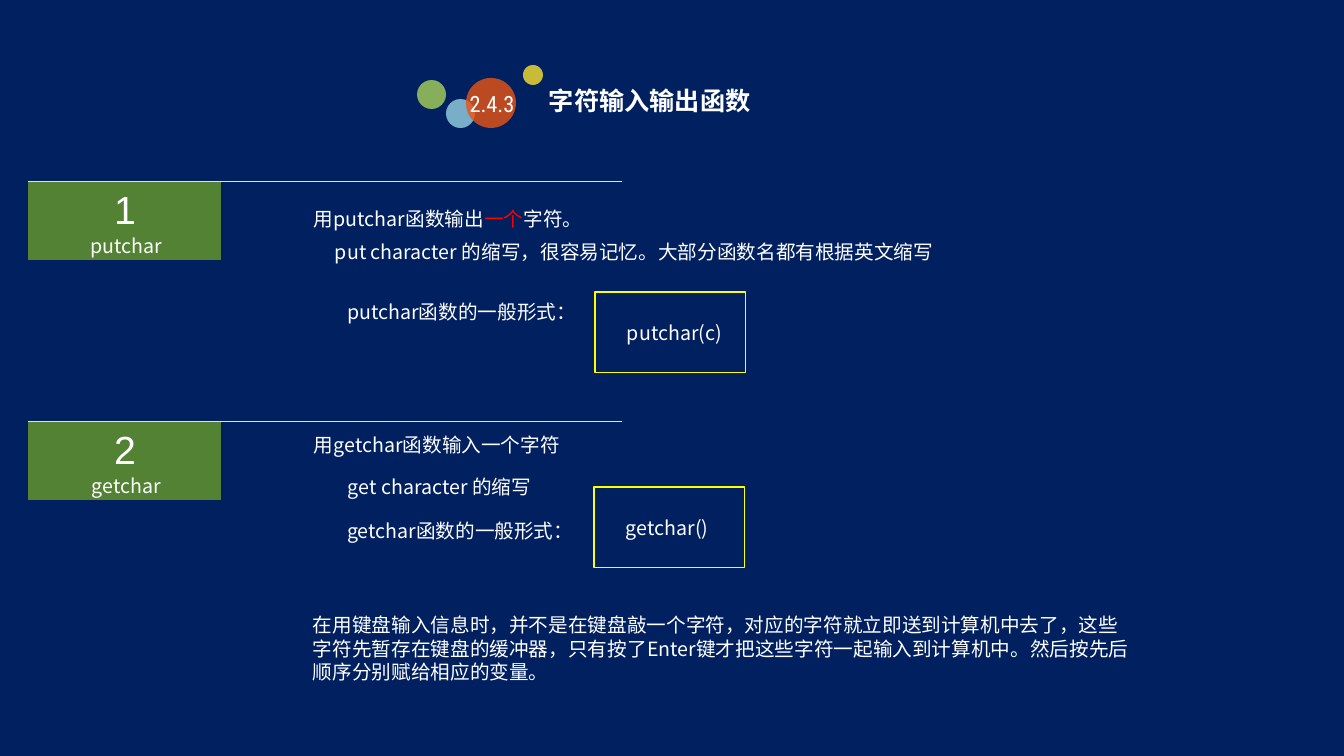
import pptx
import pptx.util
import pptx.oxml.ns
from pptx.dml.color import RGBColor
from pptx.enum.shapes import MSO_CONNECTOR, MSO_SHAPE
from pptx.enum.text import MSO_ANCHOR, PP_ALIGN
from lxml import etree

PX = 914400 / 100.8
CJK = "Noto Sans CJK SC"
COLORS = {
    "background": "002060", "text": "FFFFFF", "accent": "FF0000",
    "tag": "548235", "outline": "FFFF00", "yellow": "FBE22D",
    "green": "A9D25A", "blue": "98D2E3", "orange": "EA5514",
}


def px(length):
    return pptx.util.Emu(round(length * PX))


def rgb(name):
    return RGBColor.from_string(COLORS[name])


def sub(parent, tag, **attributes):
    return etree.SubElement(parent, pptx.oxml.ns.qn(tag), attributes)


def write(holder, *pieces, font=CJK, size=14, bold=False, align=PP_ALIGN.LEFT,
          anchor=MSO_ANCHOR.TOP, insets=(10, 5, 10, 5), spacing=1.0):
    """Fill a shape with one paragraph; a piece is a string or (string, colour)."""
    frame = holder.text_frame
    frame.word_wrap = True
    frame.vertical_anchor = anchor
    (frame.margin_left, frame.margin_top,
     frame.margin_right, frame.margin_bottom) = map(px, insets)
    paragraph = frame.paragraphs[0]
    paragraph.alignment = align
    paragraph.line_spacing = spacing
    for piece in pieces:
        words, color = (piece, "text") if isinstance(piece, str) else piece
        run = paragraph.add_run()
        run.text = words
        run.font.name = font
        run.font.size = pptx.util.Pt(size)
        run.font.bold = bold
        run.font.color.rgb = rgb(color)
        sub(run.font._element, "a:ea", typeface=font)


def add_text(slide, box, *pieces, **style):
    write(slide.shapes.add_textbox(*map(px, box)), *pieces, **style)


def add_figure(slide, kind, box, fill=None, line=None, alpha=None):
    figure = slide.shapes.add_shape(kind, *map(px, box))
    figure.shadow.inherit = False
    if fill:
        figure.fill.solid()
        figure.fill.fore_color.rgb = rgb(fill)
    else:
        figure.fill.background()
    if line:
        figure.line.color.rgb = rgb(line)
        figure.line.width = pptx.util.Pt(0.75)
    else:
        figure.line.fill.background()
    if alpha:
        color = figure._element.spPr.find(".//" + pptx.oxml.ns.qn("a:srgbClr"))
        sub(color, "a:alpha", val=str(alpha * 1000))
    return figure


def add_rule(slide, left, top, width):
    rule = slide.shapes.add_connector(
        MSO_CONNECTOR.STRAIGHT, px(left), px(top), px(left + width), px(top))
    rule.line.color.rgb = rgb("outline")
    rule.line.width = pptx.util.Pt(0.5)
    sub(rule._element.spPr, "a:effectLst")


def add_heading(slide, left, top, number, heading):
    title = slide.shapes.title
    title.left, title.top, title.width, title.height = map(
        px, (left + 122, top + 15, 240, 40))
    write(title, heading, size=18, bold=True)
    bubbles = [(106, 0, 20, 20, "yellow"), (0, 15, 29, 29, "green"),
               (29, 34, 29, 29, "blue"), (49, 13, 50, 50, "orange")]
    for x, y, width, height, color in bubbles:
        add_figure(slide, MSO_SHAPE.OVAL, (left + x, top + y, width, height),
                   fill=color, alpha=80)
    add_text(slide, (left + 50, top + 25, 50, 27), number, size=16,
             font="Roboto Condensed", align=PP_ALIGN.CENTER, insets=(0, 0, 0, 0))


def add_function(slide, left, top, number, name, details, call_box, call):
    """Numbered tag under a rule, explanations, and the call in a frame."""
    add_figure(slide, MSO_SHAPE.RECTANGLE, (left, top, 193, 79), fill="tag")
    tag_style = dict(align=PP_ALIGN.CENTER, anchor=MSO_ANCHOR.MIDDLE,
                     insets=(14, 7, 14, 7), spacing=1.3)
    add_text(slide, (left, top + 47, 197, 28), name, **tag_style)
    add_text(slide, (left + 62, top - 6, 70, 54), number, font="Arial",
             size=28, **tag_style)
    add_rule(slide, left, top, 594)
    for x, y, width, pieces in details:
        add_text(slide, (left + x, top + y, width, 34), *pieces)
    x, y = call_box
    frame = add_figure(slide, MSO_SHAPE.RECTANGLE,
                       (left + x, top + y, 151, 81), line="outline")
    write(frame, call, anchor=MSO_ANCHOR.MIDDLE, insets=(32, 5, 10, 5))


def main():
    deck = pptx.Presentation()
    deck.slide_width, deck.slide_height = px(1344), px(756)
    slide = deck.slides.add_slide(deck.slide_layouts[5])
    slide.background.fill.solid()
    slide.background.fill.fore_color.rgb = rgb("background")

    add_heading(slide, 417, 65, "2.4.3", "字符输入输出函数")
    add_function(slide, 28, 181, "1", "putchar", [
        (276, 21, 300, ["用putchar函数输出", ("一个", "accent"), "字符。"]),
        (297, 54, 651, ["put character 的缩写，很容易记忆。大部分函数名都有根据英文缩写"]),
        (309, 114, 251, ["putchar函数的一般形式："]),
    ], (567, 111), "putchar(c)")
    add_function(slide, 28, 421, "2", "getchar", [
        (276, 7, 270, ["用getchar函数输入一个字符"]),
        (310, 49, 211, ["get character 的缩写"]),
        (309, 93, 251, ["getchar函数的一般形式："]),
    ], (566, 66), "getchar()")
    add_text(slide, (303, 608, 837, 82),
             "在用键盘输入信息时，并不是在键盘敲一个字符，对应的字符就立即送到计算机中去了，"
             "这些字符先暂存在键盘的缓冲器，只有按了Enter键才把这些字符一起输入到计算机中。"
             "然后按先后顺序分别赋给相应的变量。")
    deck.save("out.pptx")


if __name__ == "__main__":
    main()
